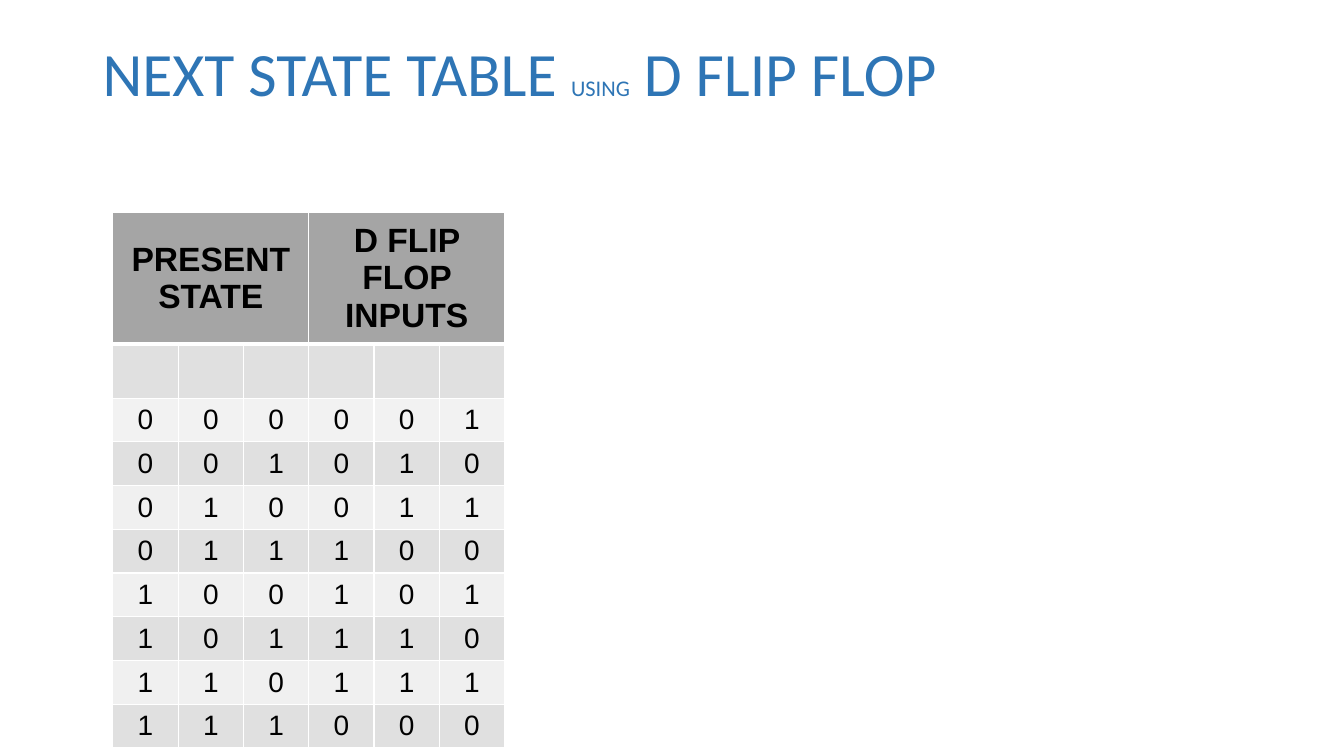
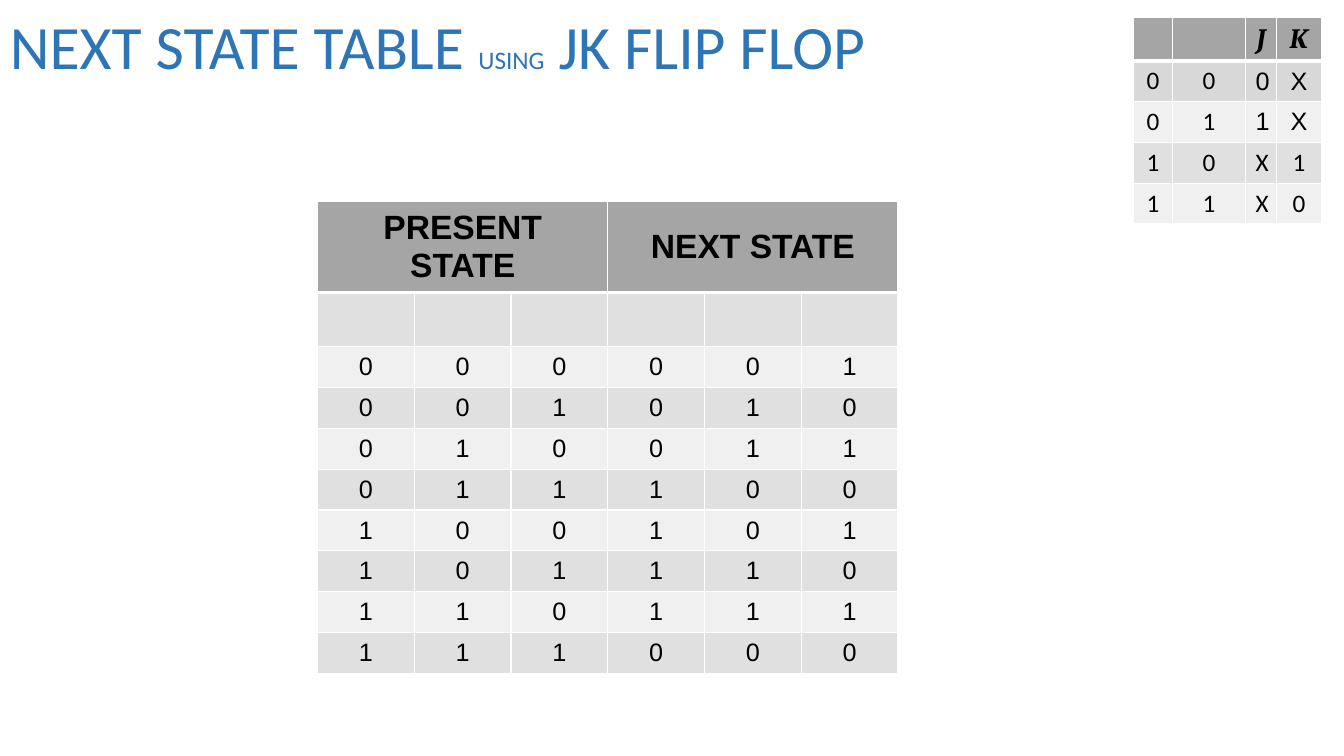
from copy import deepcopy
from lxml.etree import SubElement as Sub
from pptx import Presentation as Deck
from pptx.dml.color import RGBColor as Rgb
from pptx.enum.text import MSO_ANCHOR as Anchor, PP_ALIGN as Align
from pptx.oxml.ns import qn
from pptx.util import Inches, Pt

WIDE, HIGH = Inches(13.33), Inches(7.5)
BLUE, BLACK, WHITE = "2E75B5", "000000", "FFFFFF"
HEAD, DARK, LIGHT, PALE, MID = "A5A5A5", "E0E0E0", "F0F0F0", "F2F2F2", "D8D8D8"

TITLE = {"name": "Calibri", "size": Pt(44)}
LABEL = {"name": "Arial", "size": Pt(24), "bold": True}
SIGN = {"name": "Cambria", "size": Pt(20), "bold": True, "italic": True}
ARIAL = {"name": "Arial", "size": Pt(18), "bold": False}
PLAIN = {**ARIAL, "name": "Calibri"}


def hue(code):
    return Rgb.from_string(code)


def across(share):
    return round(WIDE * share / 100)


def down(share):
    return round(HIGH * share / 100)


def write(para, text, style, color):
    run = para.add_run()
    run.text = text
    for key, value in style.items():
        setattr(run.font, key, value)
    run.font.color.rgb = hue(color)
    return run


def title(slide, box, kind, small, broken=False):
    left, top, width, height = box
    frame = slide.shapes.add_textbox(
        across(left), down(top), across(width), down(height)).text_frame
    frame.word_wrap = True
    frame.vertical_anchor = Anchor.MIDDLE
    para = frame.paragraphs[0]
    para.line_spacing = 0.9
    write(para, "NEXT STATE TABLE ", TITLE, BLUE)
    write(para, "USING", {**TITLE, "size": Pt(small)}, BLUE)
    run = write(para, f" {kind} FLIP FLOP", TITLE, BLUE)
    if broken:
        para.add_line_break()
        form = run.font._element
        para._p[-1].append(deepcopy(form))
        tail = deepcopy(form)
        tail.tag = qn("a:endParaRPr")
        para._p.append(tail)


def edge(cell, widths):
    props = cell._tc.get_or_add_tcPr()
    for spot, (side, width) in enumerate(widths.items()):
        line = Sub(props, qn(f"a:ln{side}"), w=str(Pt(width)))
        fill = Sub(line, qn("a:solidFill"))
        Sub(fill, qn("a:srgbClr"), val=WHITE)
        props.insert(spot, line)


def grid(slide, left, top, cols, rows, texts, fills, style):
    table = slide.shapes.add_table(
        len(rows), len(cols), across(left), down(top),
        across(sum(cols)), down(sum(rows))).table
    table.first_row = table.horz_banding = False
    for col, share in zip(table.columns, cols):
        col.width = across(share)
    for r, (row, share) in enumerate(zip(table.rows, rows)):
        row.height = down(share)
        for c, cell in enumerate(row.cells):
            cell.fill.solid()
            cell.fill.fore_color.rgb = hue(fills[r])
            cell.vertical_anchor = Anchor.MIDDLE
            edge(cell, {"L": 1, "R": 1, "T": 3 if r == 1 else 1,
                        "B": 3 if r == 0 else 1})
            para = cell.text_frame.paragraphs[0]
            para.alignment = Align.CENTER
            if texts[r][c]:
                write(para, texts[r][c], style(r, c), BLACK)
    return table


def states(slide, left, top, col, heads, tall, row, size, first):
    bits = [format(n, "03b") + format((n + 1) % 8, "03b") for n in range(8)]
    texts = [[heads[0], "", "", heads[1], "", ""], [""] * 6, *bits]
    fills = [HEAD, DARK, first, DARK] + [LIGHT, DARK] * 3
    body = {**ARIAL, "size": Pt(size)}
    table = grid(slide, left, top, [col] * 6, [tall, 7.2] + [row] * 8,
                 texts, fills, lambda r, c: body if r else LABEL)
    for c in (0, 3):
        table.cell(0, c).merge(table.cell(0, c + 2))


def excite(slide):
    def style(r, c):
        if r == 0:
            return SIGN
        return ARIAL if r < 3 and c > 1 else PLAIN

    texts = [["", "", "J", "K"], "000X", "011X", "10X1", "11X0"]
    grid(slide, 84.32, 2.27, [2.93, 5.43, 2.32, 3.31], [5.7] + [5.4] * 4,
         texts, [HEAD, MID, LIGHT, DARK, LIGHT], style)


def main():
    deck = Deck()
    deck.slide_width, deck.slide_height = WIDE, HIGH
    blank = deck.slide_layouts[6]

    slide = deck.slides.add_slide(blank)
    title(slide, (6.9, 5.33, 86.27, 19.33), "D", 16, broken=True)
    states(slide, 8.4, 28.13, 4.86, ("PRESENT STATE", "D FLIP FLOP INPUTS"),
           12, 5.77, 20, PALE)

    slide = deck.slides.add_slide(blank)
    title(slide, (0, 0, 71.5, 13.2), "JK", 18)
    states(slide, 23.63, 26.67, 7.2, ("PRESENT STATE", "NEXT STATE"),
           6.67, 5.4, 18, LIGHT)
    excite(slide)

    deck.save("out.pptx")


if __name__ == "__main__":
    main()
